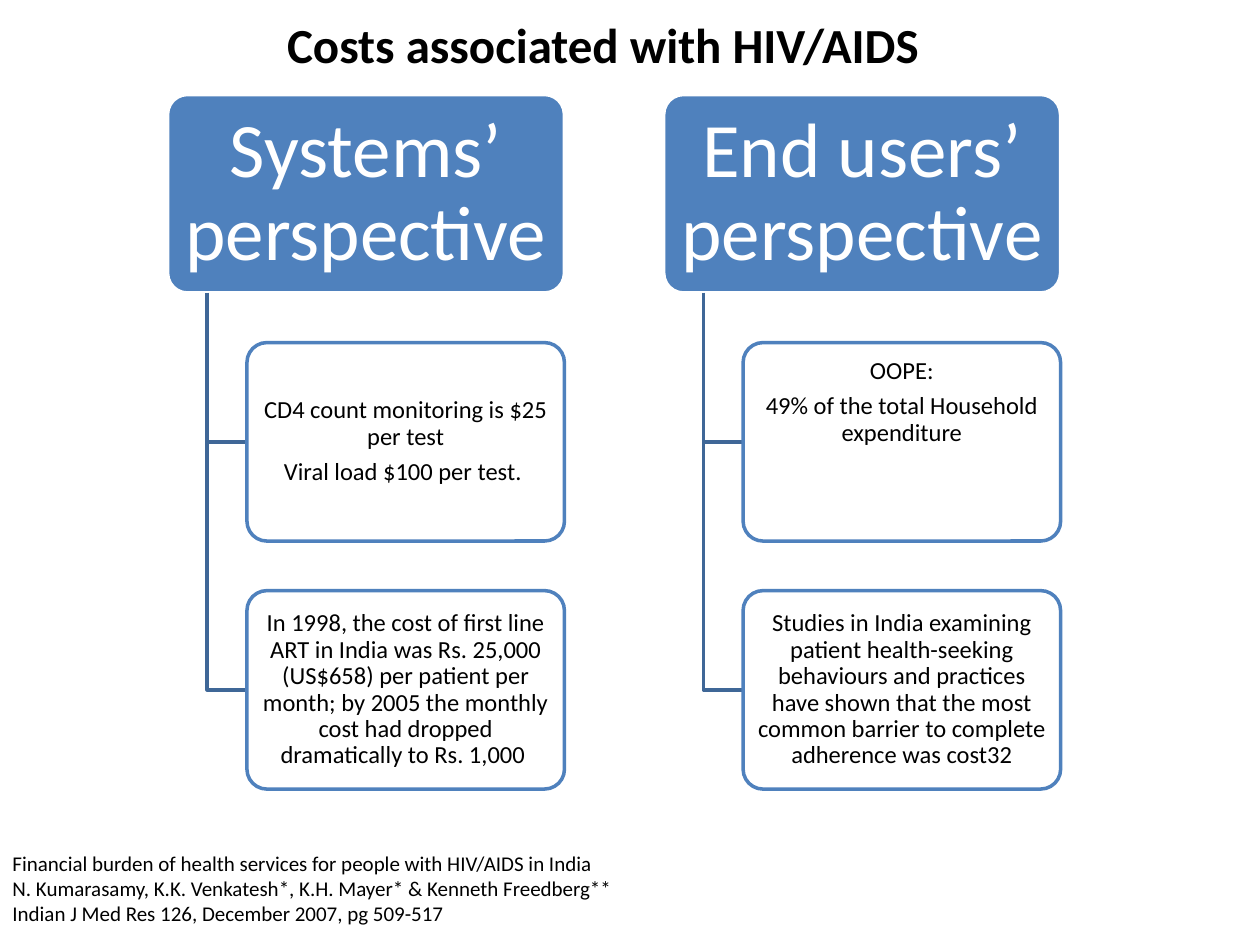
from pptx import Presentation
from pptx.dml.color import RGBColor
from pptx.enum.shapes import MSO_SHAPE
from pptx.enum.text import MSO_ANCHOR, PP_ALIGN
from pptx.util import Inches, Pt

COLORS = {"blue": "4F81BD", "stem": "3F6797", "white": "FFFFFF", "black": "000000"}
FONT = "Calibri"
COLUMNS = [
    ("Systems’ perspective", [
        (["CD4 count monitoring is $25 per test", "Viral load $100 per test. "], False),
        (["In 1998, the cost of first line ART in India was Rs. 25,000 (US$658) per "
          "patient per month; by 2005 the monthly cost had dropped dramatically to "
          "Rs. 1,000 "], False),
    ]),
    ("End users’ perspective", [
        (["OOPE:", "49% of the total Household expenditure"], True),
        (["Studies in India examining patient health-seeking behaviours and practices "
          "have shown that the most common barrier to complete adherence was cost32"], False),
    ]),
]
SOURCE = [
    "Financial burden of health services for people with HIV/AIDS in India",
    "N. Kumarasamy, K.K. Venkatesh*, K.H. Mayer* & Kenneth Freedberg**",
    "Indian J Med Res 126, December 2007, pg 509-517",
]


def rgb(name):
    return RGBColor.from_string(COLORS[name])


def write(tf, lines, size, color="black", bold=False):
    tf.word_wrap = True
    for i, line in enumerate(lines):
        p = tf.paragraphs[0] if i == 0 else tf.add_paragraph()
        p.text = line
        p.font.name, p.font.size, p.font.bold = FONT, Pt(size), bold
        p.font.color.rgb = rgb(color)


def add_text(slide, box, lines, size, bold=False):
    sp = slide.shapes.add_textbox(*map(Inches, box))
    write(sp.text_frame, lines, size, bold=bold)


def add_card(slide, box, lines, size, fill, line, color, insets, top=False):
    sp = slide.shapes.add_shape(MSO_SHAPE.ROUNDED_RECTANGLE, *map(Inches, box))
    sp.adjustments[0] = 0.1
    sp.shadow.inherit = False
    sp.fill.solid()
    sp.fill.fore_color.rgb = rgb(fill)
    sp.line.color.rgb = rgb(line)
    sp.line.width = Pt(2)
    tf = sp.text_frame
    tf.margin_left = tf.margin_right = Inches(insets[0])
    tf.margin_top = tf.margin_bottom = Inches(insets[1])
    tf.vertical_anchor = MSO_ANCHOR.MIDDLE
    if top:
        tf.vertical_anchor = MSO_ANCHOR.TOP
        tf.margin_top = Inches(0.08)
    write(tf, lines, size, color)
    for p in tf.paragraphs:
        p.alignment = PP_ALIGN.CENTER
        p.line_spacing = 0.9
        p.space_after = Pt(0.35 * size)


def add_elbow(slide, x, y, right, bottom):
    fb = slide.shapes.build_freeform(Inches(x), Inches(y))
    fb.add_line_segments([(Inches(x), Inches(bottom)), (Inches(right), Inches(bottom))],
                         close=False)
    sp = fb.convert_to_shape()
    sp.shadow.inherit = False
    sp.fill.background()
    sp.line.color.rgb = rgb("stem")
    sp.line.width = Pt(2)


def add_column(slide, x, y, w, heading, cards):
    h, gap = w / 2, w / 8
    add_card(slide, (x, y, w, h), [heading], 44, "blue", "white", "white", (0.09, 0.06))
    for i, (lines, top) in enumerate(cards, 1):
        card_x, card_y = x + 0.2 * w, y + i * (h + gap)
        add_elbow(slide, x + 0.1 * w, y + h, card_x, card_y + h / 2)
        add_card(slide, (card_x, card_y, 0.8 * w, h), lines, 14,
                 "white", "blue", "black", (0.03, 0.02), top)


def add_hierarchy(slide, x, y, w):
    for i, (heading, cards) in enumerate(COLUMNS):
        add_column(slide, x + i * 1.25 * w, y, w, heading, cards)


def main():
    prs = Presentation()
    prs.slide_width, prs.slide_height = Inches(10), Inches(7.5)
    slide = prs.slides.add_slide(prs.slide_layouts[6])
    add_text(slide, (2.18, 0.07, 6.38, 0.57), ["Costs associated with HIV/AIDS"], 28, True)
    add_hierarchy(slide, 1.33, 0.75, 3.15)
    add_text(slide, (0, 6.7, 9.15, 0.71), SOURCE, 12)
    prs.save("out.pptx")


if __name__ == "__main__":
    main()
